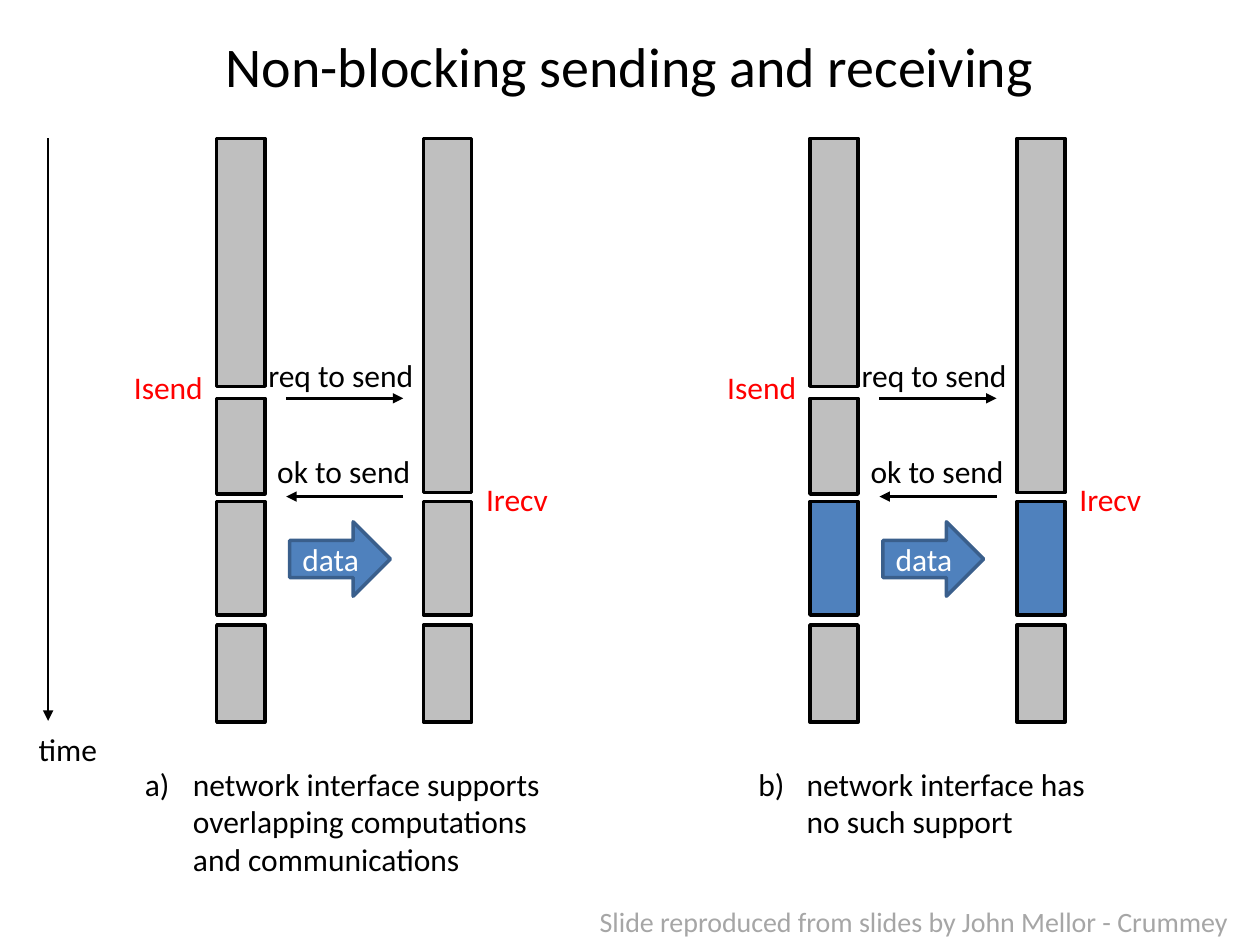
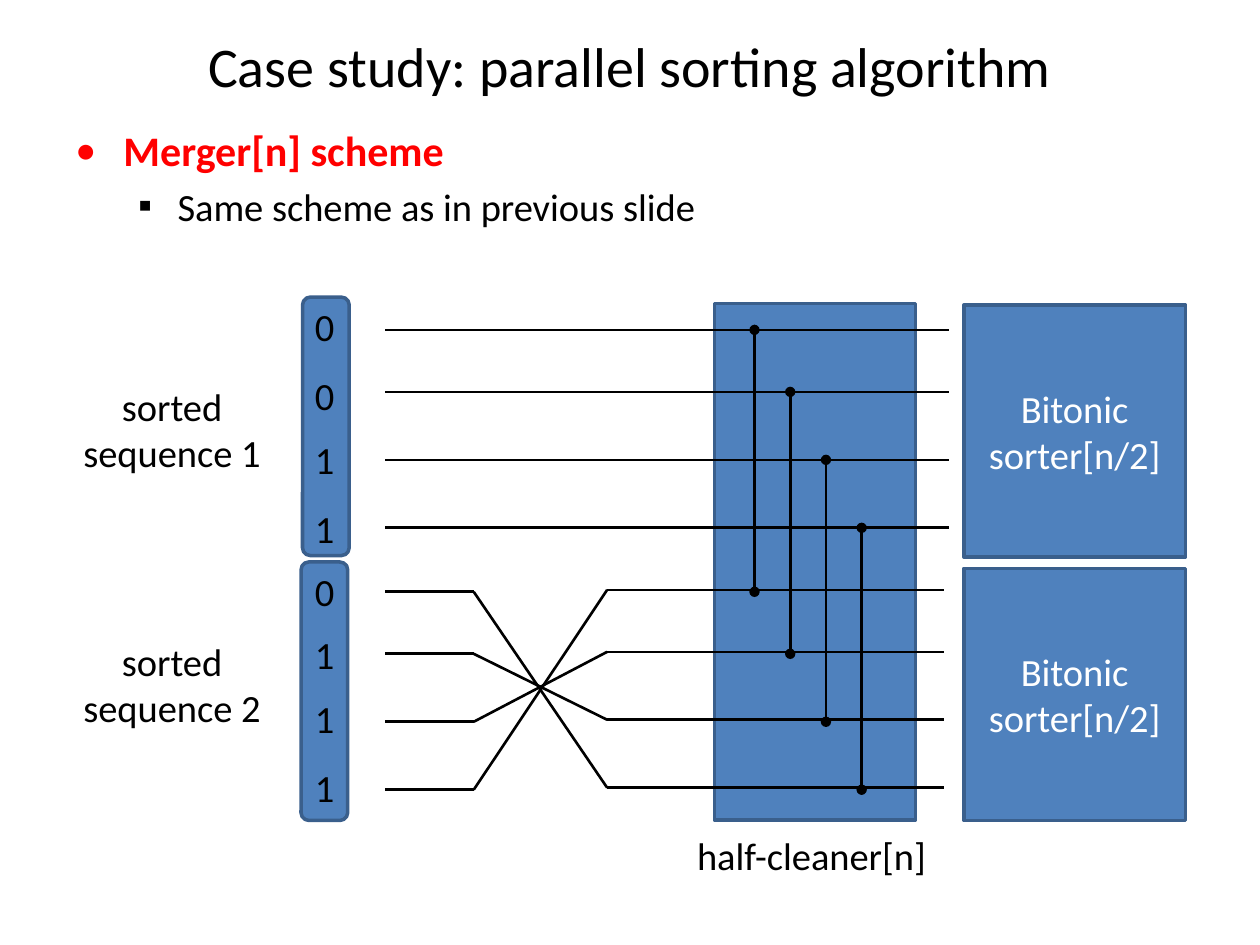
from dataclasses import dataclass
from typing import NamedTuple

from lxml.etree import SubElement
from pptx import Presentation
from pptx.dml.color import RGBColor
from pptx.enum.shapes import MSO_CONNECTOR, MSO_SHAPE
from pptx.enum.text import MSO_ANCHOR, MSO_AUTO_SIZE, PP_ALIGN
from pptx.oxml.ns import qn
from pptx.slide import Slide
from pptx.util import Cm, Pt


@dataclass(frozen=True)
class Theme:
    font: str = "Calibri"
    black: str = "000000"
    white: str = "FFFFFF"
    red: str = "FF0000"
    gray: str = "BFBFBF"
    pale: str = "A6A6A6"
    blue: str = "4F81BD"
    edge: str = "3A5F8C"
    title: int = 32
    head: int = 24
    text: int = 22
    label: int = 18
    note: int = 16
    border: float = 2
    wire: float = 1.5


THEME = Theme()


class Box(NamedTuple):
    """A place on the slide, in centimetres."""
    x: float
    y: float
    w: float
    h: float

    def shift(self, dx: float) -> "Box":
        return self._replace(x=self.x + dx)

    def span(self) -> list[Cm]:
        return [Cm(side) for side in self]


class Style(NamedTuple):
    size: int = THEME.label
    color: str = THEME.black
    bold: bool = False
    align: PP_ALIGN = PP_ALIGN.LEFT


class Bullet(NamedTuple):
    tag: str
    attrs: dict[str, str]
    left: float
    hang: float


class Label(NamedTuple):
    text: str
    box: Box
    style: Style = Style()


class Panel(NamedTuple):
    """One sender and receiver pair with its caption."""
    left: float
    busy: str
    start: int
    text: str
    box: Box


LABEL = Style()
CALL = Style(color=THEME.red)
MID = Style(THEME.text, align=PP_ALIGN.CENTER)
BLOCK = Style(THEME.text, THEME.white, align=PP_ALIGN.CENTER)

# Time chart
TOP, BOTTOM = 2.79, 14.53
BAR, LANE = 0.97, 4.17
REQ, REPLY = 8.03, 10.01
XFER, LAST = (10.11, 2.29), (12.6, 1.96)
SEND_BARS = [(TOP, 5), (REQ, 1.93), XFER, LAST]
RECV_BARS = [(TOP, 7.14), XFER, LAST]
CALLS = [
    Label("Isend", Box(-1.92, 7.29, 1.93, 1.02), CALL),
    Label("req to send", Box(0.79, 7.06, 3.48, 1.02)),
    Label("ok to send", Box(0.97, 8.99, 3.23, 1.02)),
    Label("Irecv", Box(5.18, 9.55, 1.78, 1.02), CALL),
]
PANELS = [
    Panel(4.37, THEME.gray, 1,
          "network interface supports overlapping computations and communications",
          Box(2.67, 15.29, 9.17, 2.57)),
    Panel(16.33, THEME.blue, 2, "network interface has no such support",
          Box(15.04, 15.29, 7.14, 1.8)),
]

# Merger chart
WIRES = [6.65, 7.9, 9.27, 10.64]
DROP, RISE = 5.28, 0.04
LOW = [y + DROP for y in WIRES]
OUT = [y - RISE for y in LOW]
START, SPLIT, JOIN, END = 7.77, 9.55, 12.24, 19.02
DIGITS = list(zip("00110111",
                  [5.99, 7.37, 8.66, 10.06, 11.33, 12.6, 13.89, 15.27]))


def write(par, text: str, style: Style, bullet: Bullet | None = None) -> None:
    par.text = text
    par.alignment = style.align
    if bullet:
        props = par._p.get_or_add_pPr()
        props.set("marL", str(Cm(bullet.left)))
        props.set("indent", str(-Cm(bullet.hang)))
        tint = SubElement(props, qn("a:buClr"))
        SubElement(tint, qn("a:srgbClr"), val=style.color)
        SubElement(props, qn("a:buFont"), typeface=THEME.font)
        SubElement(props, qn(bullet.tag), bullet.attrs)
    font = par.font
    font.name, font.size, font.bold = THEME.font, Pt(style.size), style.bold
    font.color.rgb = RGBColor.from_string(style.color)


def add_text(slide: Slide, label: Label, wrap: bool = False,
             bullet: Bullet | None = None):
    frame = slide.shapes.add_textbox(*label.box.span()).text_frame
    frame.word_wrap = wrap
    frame.auto_size = MSO_AUTO_SIZE.NONE if wrap else MSO_AUTO_SIZE.SHAPE_TO_FIT_TEXT
    for i, line in enumerate(label.text.split("\n")):
        par = frame.add_paragraph() if i else frame.paragraphs[0]
        write(par, line, label.style, bullet)
    return frame


def add_block(slide: Slide, box: Box, fill: str = THEME.blue,
              edge: str = THEME.edge, kind: MSO_SHAPE = MSO_SHAPE.RECTANGLE,
              text: str = "", style: Style = BLOCK) -> None:
    shape = slide.shapes.add_shape(kind, *box.span())
    shape.shadow.inherit = False
    shape.fill.solid()
    shape.fill.fore_color.rgb = RGBColor.from_string(fill)
    shape.line.color.rgb = RGBColor.from_string(edge)
    shape.line.width = Pt(THEME.border)
    if text:
        write(shape.text_frame.paragraphs[0], text, style)


def add_line(slide: Slide, x1: float, y1: float, x2: float, y2: float,
             head: str = "", tail: str = "") -> None:
    link = slide.shapes.add_connector(
        MSO_CONNECTOR.STRAIGHT, Cm(x1), Cm(y1), Cm(x2), Cm(y2))
    link.line.color.rgb = RGBColor.from_string(THEME.black)
    link.line.width = Pt(THEME.wire)
    props = link._element.spPr
    for tag, kind in (("a:headEnd", head), ("a:tailEnd", tail)):
        if kind:
            SubElement(props.find(qn("a:ln")), qn(tag), type=kind)
    SubElement(props, qn("a:effectLst"))


def new_slide(deck, title: str) -> Slide:
    slide = deck.slides.add_slide(deck.slide_layouts[6])
    style = Style(THEME.title, align=PP_ALIGN.CENTER)
    frame = add_text(slide, Label(title, Box(1.27, 0.43, 22.86, 1.78), style), True)
    frame.vertical_anchor = MSO_ANCHOR.MIDDLE
    return slide


def draw_panel(slide: Slide, panel: Panel) -> None:
    left = panel.left
    for x, bars in ((left, SEND_BARS), (left + LANE, RECV_BARS)):
        for bar in bars:
            fill = panel.busy if bar == XFER else THEME.gray
            add_block(slide, Box(x, bar[0], BAR, bar[1]), fill, THEME.black)
    near, far = left + 1.4, left + 3.76
    add_line(slide, near, REQ, far, REQ, tail="triangle")
    add_line(slide, far, REPLY, near, REPLY, tail="triangle")
    add_block(slide, Box(left + 1.47, 10.52, 2.03, 1.5),
              kind=MSO_SHAPE.RIGHT_ARROW, text="data",
              style=Style(color=THEME.white, align=PP_ALIGN.CENTER))
    for call in CALLS:
        add_text(slide, call._replace(box=call.box.shift(left)))
    count = {"type": "alphaLcParenR", "startAt": str(panel.start)}
    add_text(slide, Label(panel.text, panel.box), True,
             Bullet("a:buAutoNum", count, 0.97, 0.97))


def build_calls(deck) -> None:
    slide = new_slide(deck, "Non-blocking sending and receiving")
    add_line(slide, 0.97, TOP, 0.97, BOTTOM, tail="triangle")
    add_text(slide, Label("time", Box(0.53, 14.6, 1.7, 1.02)))
    for panel in PANELS:
        draw_panel(slide, panel)
    add_text(slide, Label("Slide reproduced from slides by John Mellor - Crummey",
                          Box(11.84, 18.11, 13.54, 0.94),
                          Style(THEME.note, THEME.pale)))


def draw_wires(slide: Slide) -> None:
    for y in WIRES:
        add_line(slide, START, y, 19.13, y)
    for y, out, cross in zip(LOW, OUT, reversed(OUT)):
        add_line(slide, START, y, SPLIT, y)
        add_line(slide, SPLIT, y, JOIN, cross)
        add_line(slide, JOIN, out, END, out)
    for i, (y, low) in enumerate(zip(WIRES, LOW)):
        x = 15.21 + 0.72 * i
        add_line(slide, x, y, x, low, "oval", "oval")


def build_merger(deck) -> None:
    slide = new_slide(deck, "Case study: parallel sorting algorithm")
    frame = add_text(slide, Label("Merger[n] scheme", Box(1.27, 2.39, 22.86, 3.63),
                                  Style(THEME.head, THEME.red, True)),
                     True, Bullet("a:buChar", {"char": "•"}, 0.97, 0.97))
    point = frame.add_paragraph()
    point.level = 1
    write(point, "Same scheme as in previous slide", Style(THEME.text),
          Bullet("a:buChar", {"char": "▪"}, 2.06, 0.79))
    point.space_before = Pt(4.4)

    add_block(slide, Box(14.4, 6.12, 4.06, 10.41))
    for x, y in ((6.1, 5.99), (6.07, 11.33)):
        add_block(slide, Box(x, y, 0.94, 5.21), kind=MSO_SHAPE.ROUNDED_RECTANGLE)
    for digit, y in DIGITS:
        add_text(slide, Label(digit, Box(6.1, y, 0.91, 1.19), Style(THEME.text)))
    for i, y in enumerate((7.59, 12.73), 1):
        add_text(slide, Label(f"sorted\nsequence {i}", Box(1.4, y, 4.14, 2.13), MID))
    for y in (6.15, 11.46):
        add_block(slide, Box(19.43, y, 4.47, 5.08), text="Bitonic sorter[n/2]")
    draw_wires(slide)
    add_text(slide, Label("half-cleaner[n]", Box(13.77, 16.64, 5.18, 1.19), MID))


def main() -> None:
    deck = Presentation()
    deck.slide_width, deck.slide_height = Cm(25.4), Cm(19.05)
    build_calls(deck)
    build_merger(deck)
    deck.save("out.pptx")


if __name__ == "__main__":
    main()
